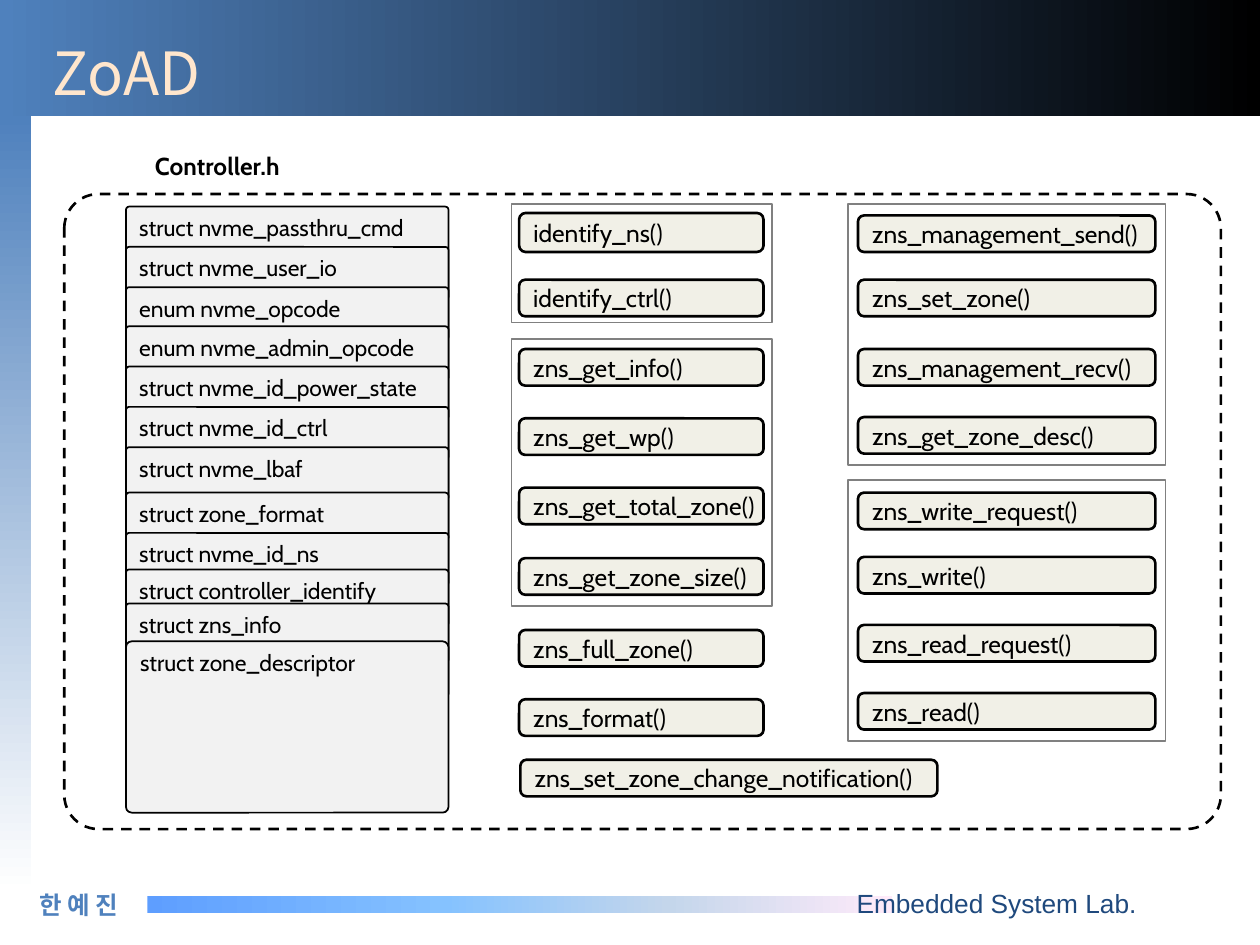
"""Build the ZoAD slide that outlines the contents of Controller.h."""
from copy import deepcopy

from lxml import etree
from pptx import Presentation
from pptx import util as u
from pptx.dml.color import RGBColor
from pptx.enum import dml, shapes, text
from pptx.oxml.ns import qn

BLACK = RGBColor(0x00, 0x00, 0x00)
WHITE = RGBColor(0xFF, 0xFF, 0xFF)
BLUE = RGBColor(0x4F, 0x81, 0xBD)
NAVY = RGBColor(0x1F, 0x49, 0x7D)
CREAM = RGBColor(0xFF, 0xE6, 0xCD)
IVORY = RGBColor(0xF1, 0xF0, 0xE7)
PALE_GRAY = RGBColor(0xF2, 0xF2, 0xF2)
GRAY = RGBColor(0x80, 0x80, 0x80)
FOOTER_STOPS = [
    (0, RGBColor(0x5E, 0x9E, 0xFF)),
    (0.4, RGBColor(0x85, 0xC2, 0xFF)),
    (0.7, RGBColor(0xC4, 0xD6, 0xEB)),
    (1, RGBColor(0xFF, 0xEB, 0xFA)),
]

STRUCT_HEIGHT = 0.74
STRUCTS = [
    (1.64, "struct nvme_passthru_cmd"),
    (1.96, "struct nvme_user_io"),
    (2.28, "enum nvme_opcode"),
    (2.59, "enum nvme_admin_opcode"),
    (2.91, "struct nvme_id_power_state"),
    (3.23, "struct nvme_id_ctrl"),
    (3.55, "struct nvme_lbaf"),
    (3.91, "struct zone_format"),
    (4.23, "struct nvme_id_ns"),
    (4.52, "struct controller_identify"),
    (4.79, "struct zns_info"),
]
QUERY_FUNCTIONS = [
    (2.22, "identify_ctrl()"),
    (2.77, "zns_get_info()"),
    (3.32, "zns_get_wp()"),
    (3.87, "zns_get_total_zone()"),
    (4.43, "zns_get_zone_size()"),
    (5, "zns_full_zone()"),
    (5.55, "zns_format()"),
]
ZONE_FUNCTIONS = [
    (1.71, "zns_management_send()"),
    (2.22, "zns_set_zone()"),
    (2.77, "zns_management_recv()"),
    (3.31, "zns_get_zone_desc()"),
    (3.91, "zns_write_request()"),
    (4.42, "zns_write()"),
    (4.96, "zns_read_request()"),
    (5.5, "zns_read()"),
]
GROUP_FRAMES = [
    (6.73, 1.62, 2.52, 2.07),
    (6.73, 3.81, 2.52, 2.07),
    (4.06, 1.62, 2.07, 0.94),
    (4.06, 2.69, 2.07, 2.12),
]


def set_values(target, values):
    for name, value in values.items():
        setattr(target, name, value)


class SlideBuilder:
    label_font = "Cabin"
    heading_font = "Noto Sans CJK KR"

    def __init__(self, slide):
        self.slide = slide

    def label(self, shape, words, size, color, font=label_font, bold=False,
              align=text.PP_ALIGN.LEFT, anchor=text.MSO_ANCHOR.TOP, wrap=True):
        frame = shape.text_frame
        frame.text = words
        set_values(frame, {"word_wrap": wrap, "vertical_anchor": anchor})
        paragraph = frame.paragraphs[0]
        paragraph.alignment = align
        run = paragraph.runs[0]
        set_values(run.font, {"name": font, "size": u.Pt(size), "bold": bold})
        run.font.color.rgb = color
        properties = run.font._element
        etree.SubElement(properties, qn("a:ea")).set("typeface", font)
        return paragraph

    def box(self, bounds, fill=None, line=None, width=1, radius=None, rounded=False):
        kind = shapes.MSO_SHAPE.ROUNDED_RECTANGLE if rounded else shapes.MSO_SHAPE.RECTANGLE
        shape = self.slide.shapes.add_shape(kind, *map(u.Inches, bounds))
        shape.shadow.inherit = False
        if radius is not None:
            shape.adjustments[0] = radius
        if fill is None:
            shape.fill.background()
        else:
            shape.fill.solid()
            shape.fill.fore_color.rgb = fill
        if line is None:
            shape.line.fill.background()
        else:
            shape.line.color.rgb = line
            shape.line.width = u.Pt(width)
        return shape

    def gradient_bar(self, bounds, stops, angle=0):
        shape = self.box(bounds)
        shape.fill.gradient()
        shape.fill.gradient_angle = angle
        stop_list = shape._element.spPr.find(".//" + qn("a:gsLst"))
        for _ in stops[2:]:
            stop_list.append(deepcopy(stop_list[0]))
        for stop, (position, color) in zip(shape.fill.gradient_stops, stops):
            stop.position = position
            stop.color.rgb = color

    def text_box(self, bounds, words, size, color, **style):
        shape = self.slide.shapes.add_textbox(*map(u.Inches, bounds))
        self.label(shape, words, size, color, **style)

    def title(self, bounds, words):
        shape = self.slide.shapes.title
        names = ("left", "top", "width", "height")
        set_values(shape, dict(zip(names, map(u.Inches, bounds))))
        paragraph = self.label(shape, words, 34, CREAM, font=self.heading_font,
                               anchor=text.MSO_ANCHOR.BOTTOM)
        paragraph.line_spacing = 0.9
        self.slide.shapes._spTree.append(shape._element)

    def function(self, left, top, width, name, height=0.29):
        shape = self.box((left, top, width, height), IVORY, BLACK, 1.5, rounded=True)
        self.label(shape, name, 14, BLACK, anchor=text.MSO_ANCHOR.MIDDLE, wrap=False)

    def struct(self, top, name, height=STRUCT_HEIGHT):
        shape = self.box((1, top, 2.56, height), PALE_GRAY, BLACK, 1, 0.034, rounded=True)
        self.label(shape, name, 13, BLACK)


def main():
    presentation = Presentation()
    presentation.slide_width = u.Inches(10)
    presentation.slide_height = u.Inches(7.5)
    builder = SlideBuilder(presentation.slides.add_slide(presentation.slide_layouts[5]))

    builder.gradient_bar((0, 0.92, 0.25, 6.17), [(0, BLUE), (1, WHITE)], 270)
    builder.gradient_bar((1.17, 7.11, 5.91, 0.14), FOOTER_STOPS)
    builder.gradient_bar((0, 0, 10, 0.92), [(0, BLUE), (1, BLACK)])
    builder.text_box((0.08, 7.01, 1.09, 0.34), "한 예 진", 14, BLUE, bold=True,
                     font=builder.heading_font, align=text.PP_ALIGN.CENTER,
                     anchor=text.MSO_ANCHOR.BOTTOM)
    builder.text_box((6.7, 6.99, 2.44, 0.35), "Embedded System Lab.", 15, NAVY, font="Arial")
    builder.title((0.32, 0.16, 9.37, 0.75), "ZoAD")

    outline = builder.box((0.51, 1.54, 9.18, 5.04), WHITE, BLACK, 1.5, 0.054, rounded=True)
    outline.line.dash_style = dml.MSO_LINE.DASH
    builder.text_box((0.67, 1.15, 2.11, 0.34), "Controller.h", 14, BLACK, bold=True,
                     align=text.PP_ALIGN.CENTER)

    builder.function(4.12, 1.69, 1.94, "identify_ns()", 0.31)
    for left, width, functions in ((4.12, 1.94, QUERY_FUNCTIONS), (6.81, 2.36, ZONE_FUNCTIONS)):
        for top, name in functions:
            builder.function(left, top, width, name)
    for bounds in GROUP_FRAMES:
        builder.box(bounds, line=GRAY)
    builder.function(4.13, 6.03, 3.31, "zns_set_zone_change_notification()")

    for top, name in STRUCTS:
        builder.struct(top, name)
    builder.struct(5.09, "struct zone_descriptor", 1.36)

    presentation.save("out.pptx")


if __name__ == "__main__":
    main()
